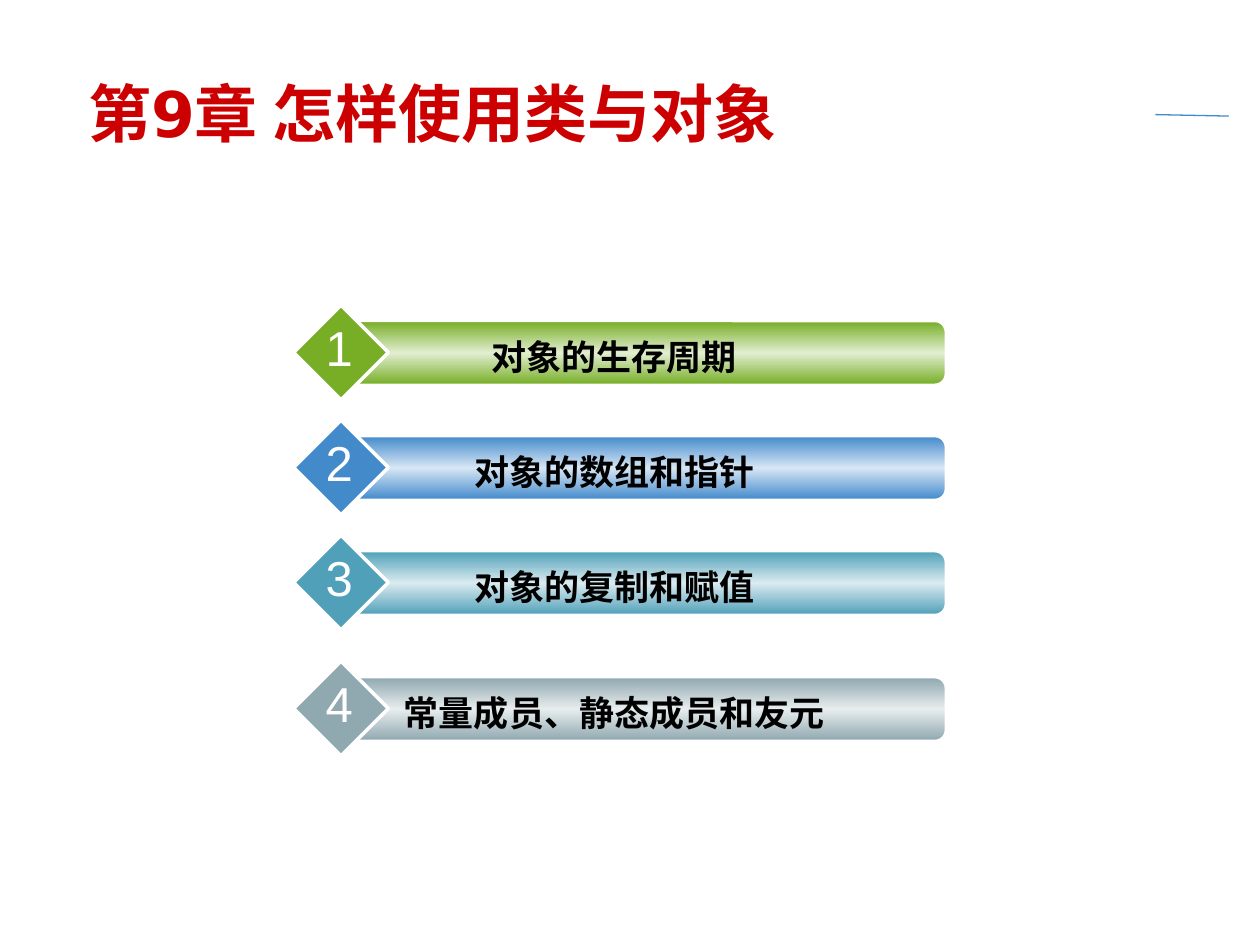
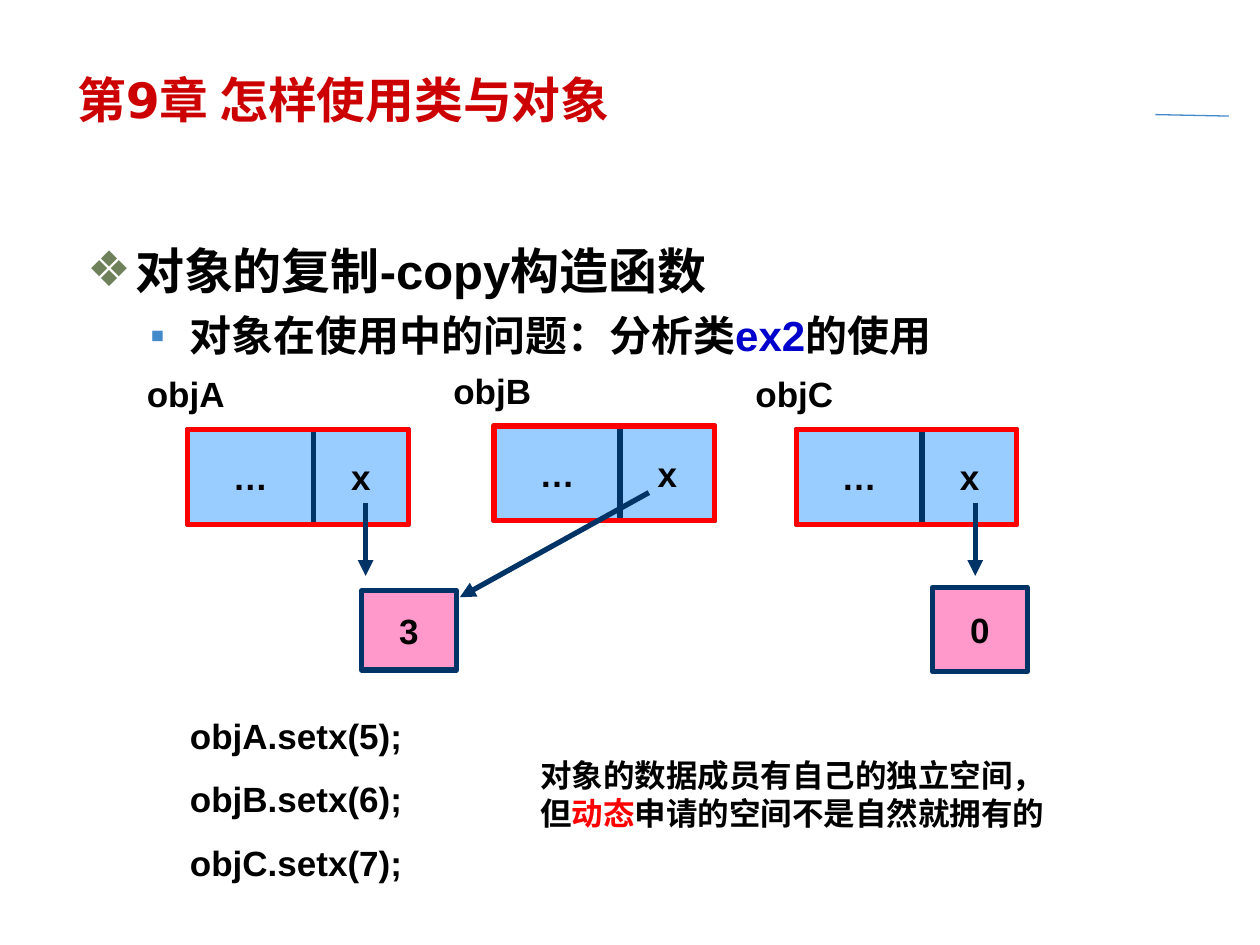
from copy import deepcopy
from dataclasses import dataclass

from lxml import etree
from pptx import Presentation
from pptx.dml.color import RGBColor
from pptx.enum import shapes, text
from pptx.oxml import ns
from pptx.util import Cm, Pt

COLOURS = {
    "title": "CC0000", "text": "000000", "white": "FFFFFF",
    "rule": "438ACB", "emphasis": "0000CC", "warning": "FF0000",
    "navy": "003366", "cell": "99CCFF", "value": "FF99CC",
    "bullet": "6E815B", "sub_bullet": "438ACB",
}
TITLE = "第9章 怎样使用类与对象"
TITLE_FONT, BODY_FONT = "DejaVu Sans", "Arial"
CENTER, LEFT = text.PP_ALIGN.CENTER, text.PP_ALIGN.LEFT
MIDDLE, TOP = text.MSO_ANCHOR.MIDDLE, text.MSO_ANCHOR.TOP
PRESET = shapes.MSO_SHAPE


@dataclass
class Box:
    """Place and size in centimetres."""
    left: float
    top: float
    width: float
    height: float

    def lengths(self) -> list:
        return [Cm(value) for value in (self.left, self.top, self.width, self.height)]


@dataclass
class Topic:
    label: str
    top: float
    edge: str
    middle: str


@dataclass
class ObjectDiagram:
    name: str
    left: float
    top: float


@dataclass
class ValueBox:
    value: str
    box: Box


@dataclass
class Arrow:
    start: tuple[float, float]
    end: tuple[float, float]


TOPICS = [
    Topic("对象的生存周期", 6.15, "77AE26", "E2EED1"),
    Topic("对象的数组和指针", 8.47, "438ACB", "D7E6F4"),
    Topic("对象的复制和赋值", 10.79, "51A0B9", "DAEBF0"),
    Topic("常量成员、静态成员和友元", 13.33, "90A8B0", "E7EDEE"),
]
OBJECTS = [
    ObjectDiagram("objA", 3.78, 8.66),
    ObjectDiagram("objB", 9.96, 8.59),
    ObjectDiagram("objC", 16.05, 8.66),
]
VALUES = [
    ValueBox("3", Box(7.29, 11.91, 1.91, 1.6)),
    ValueBox("0", Box(18.8, 11.84, 1.91, 1.7)),
]
ARROWS = [
    Arrow((7.37, 10.13), (7.37, 11.61)),
    Arrow((13.08, 9.93), (9.27, 12.04)),
    Arrow((19.66, 10.13), (19.66, 11.61)),
]


# Shared drawing functions
def rgb(name: str) -> RGBColor:
    return RGBColor.from_string(COLOURS.get(name, name))


def set_font(font, size: float, colour: str = "text", bold: bool = True,
             name: str = BODY_FONT) -> None:
    font.name, font.size, font.bold = name, Pt(size), bold
    font.color.rgb = rgb(colour)


def write(shape, lines: list, size: float, colour: str = "text", bold: bool = True,
          name: str = BODY_FONT, align=LEFT, anchor=TOP, wrap: bool = True,
          gap: float = 0) -> None:
    """Write lines; each is a string or a list of (text, colour) runs."""
    frame = shape.text_frame
    frame.auto_size = text.MSO_AUTO_SIZE.NONE
    frame.word_wrap, frame.vertical_anchor = wrap, anchor
    for index, line in enumerate(lines):
        paragraph = frame.add_paragraph() if index else frame.paragraphs[0]
        paragraph.alignment = align
        paragraph.space_before = Pt(gap if index else 0)
        set_font(paragraph.font, size, colour, bold, name)
        add_runs(paragraph, line)


def add_runs(paragraph, line) -> None:
    for content, colour in ([(line, None)] if isinstance(line, str) else line):
        run = paragraph.add_run()
        run.text = content
        if colour:
            run.font.color.rgb = rgb(colour)


def add_text(parent, box: Box, lines: list, size: float, **style) -> None:
    write(parent.shapes.add_textbox(*box.lengths()), lines, size, **style)


def add_preset(parent, preset, box: Box, fill: str | None, line: str, width: float):
    shape = parent.shapes.add_shape(preset, *box.lengths())
    shape.shadow.inherit = False
    if fill:
        shape.fill.solid()
        shape.fill.fore_color.rgb = rgb(fill)
    else:
        shape.fill.background()
    shape.line.color.rgb = rgb(line)
    shape.line.width = Pt(width)
    return shape


def add_line(slide, start: tuple, end: tuple, colour: str, width: float,
             arrow: bool = False) -> None:
    connector = slide.shapes.add_connector(
        shapes.MSO_CONNECTOR.STRAIGHT, *(Cm(value) for value in (*start, *end)))
    connector.line.color.rgb = rgb(colour)
    connector.line.width = Pt(width)
    if arrow:
        etree.SubElement(connector.line._get_or_add_ln(), ns.qn("a:tailEnd"), type="triangle")
    etree.SubElement(connector._element.spPr, ns.qn("a:effectLst"))


def add_slide(presentation, layout: int, title_box: Box, title_size: float):
    """Add a slide with the shared rule and title style."""
    slide = presentation.slides.add_slide(presentation.slide_layouts[layout])
    add_line(slide, (23.29, 2.31), (24.77, 2.34), "rule", 0.75)
    title = slide.shapes.title
    title.left, title.top, title.width, title.height = title_box.lengths()
    write(title, [TITLE], title_size, "title", name=TITLE_FONT, anchor=MIDDLE)
    return slide


# Chapter contents
def fill_gradient(shape, edge: str, middle: str) -> None:
    shape.fill.gradient()
    shape.fill.gradient_angle = 90
    stop_list = shape._element.spPr.find(".//" + ns.qn("a:gsLst"))
    stop_list.append(deepcopy(stop_list[-1]))
    for stop, position, colour in zip(shape.fill.gradient_stops, (0, 0.5, 1),
                                      (edge, middle, edge)):
        stop.position = position
        stop.color.rgb = rgb(colour)


def add_topic(slide, number: int, topic: Topic) -> None:
    group = slide.shapes.add_group_shape()
    bar = add_preset(group, PRESET.ROUNDED_RECTANGLE,
                     Box(6.99, topic.top + 0.33, 12.07, 1.27), None, "white", 1)
    fill_gradient(bar, topic.edge, topic.middle)
    add_preset(group, PRESET.DIAMOND, Box(5.92, topic.top, 1.91, 1.91),
               topic.edge, "white", 2)
    add_text(group, Box(7.62, topic.top + 0.48, 9.53, 1.12), [topic.label], 20,
             align=CENTER)
    add_text(group, Box(6.32, topic.top + 0.13, 1.04, 1.45), [str(number)], 28,
             colour="white", bold=False, align=CENTER, wrap=False)


def build_contents(presentation) -> None:
    slide = add_slide(presentation, 5, Box(1.52, 1.47, 19, 1.57), 36)
    for number, topic in enumerate(TOPICS, 1):
        add_topic(slide, number, topic)


# Copying objects
def add_bullet(paragraph, character: str, colour: str, margin: float, hanging: float) -> None:
    properties = paragraph._p.get_or_add_pPr()
    properties.set("marL", str(Cm(margin)))
    properties.set("indent", str(-Cm(hanging)))
    bullet_colour = etree.SubElement(properties, ns.qn("a:buClr"))
    etree.SubElement(bullet_colour, ns.qn("a:srgbClr"), val=COLOURS[colour])
    etree.SubElement(properties, ns.qn("a:buFont"), typeface=BODY_FONT)
    etree.SubElement(properties, ns.qn("a:buChar"), char=character)


def fill_body(body) -> None:
    body.left, body.top, body.width, body.height = Box(1.5, 4.72, 22.81, 13.61).lengths()
    frame = body.text_frame
    frame.auto_size = text.MSO_AUTO_SIZE.NONE
    heading, detail = frame.paragraphs[0], frame.add_paragraph()
    detail.level = 1
    add_bullet(heading, "❖", "bullet", 0.97, 0.97)
    add_bullet(detail, "▪", "sub_bullet", 2.06, 0.79)
    heading.space_before, detail.space_before = Pt(0), Pt(6)
    set_font(heading.font, 28)
    set_font(detail.font, 24)
    add_runs(heading, "对象的复制-copy构造函数")
    add_runs(detail, [("对象在使用中的问题：分析类", None), ("ex2", "emphasis"),
                      ("的使用", None)])


def add_filled_cell(parent, box: Box, content: str, fill: str) -> None:
    cell = add_preset(parent, PRESET.RECTANGLE, box, fill, "navy", 3)
    write(cell, [content], 20, align=CENTER, anchor=MIDDLE, wrap=False)


def add_object(slide, item: ObjectDiagram) -> None:
    group = slide.shapes.add_group_shape()
    wide, narrow, height = 2.54, 1.91, 1.91
    add_filled_cell(group, Box(item.left, item.top, wide, height), "…", "cell")
    add_filled_cell(group, Box(item.left + wide, item.top, narrow, height), "x", "cell")
    add_text(group, Box(item.left - 1.07, item.top - 1.27, 3.38, 1.12), [item.name], 20)
    add_preset(group, PRESET.RECTANGLE, Box(item.left, item.top, wide + narrow, height),
               None, "warning", 3)


def build_copying(presentation) -> None:
    slide = add_slide(presentation, 1, Box(1.3, 1.32, 21.56, 1.57), 27.9)
    slide.shapes.title.text_frame.paragraphs[0].line_spacing = 0.8
    fill_body(slide.placeholders[1])
    for item in OBJECTS:
        add_object(slide, item)
    for value in VALUES:
        add_filled_cell(slide, value.box, value.value, "value")
    for arrow in ARROWS:
        add_line(slide, arrow.start, arrow.end, "navy", 3, arrow=True)
    calls = [f"{item.name}.setx({value});" for value, item in enumerate(OBJECTS, 5)]
    add_text(slide, Box(3.58, 14.27, 7.92, 3.68), calls, 20, gap=12.5)
    add_text(slide, Box(10.64, 15.11, 11.56, 1.78), [
        "对象的数据成员有自己的独立空间，",
        [("但", None), ("动态", "warning"), ("申请的空间不是自然就拥有的", None)],
    ], 18)


def main() -> None:
    presentation = Presentation()
    presentation.slide_width, presentation.slide_height = Cm(25.4), Cm(19.05)
    build_contents(presentation)
    build_copying(presentation)
    presentation.save("out.pptx")


if __name__ == "__main__":
    main()
